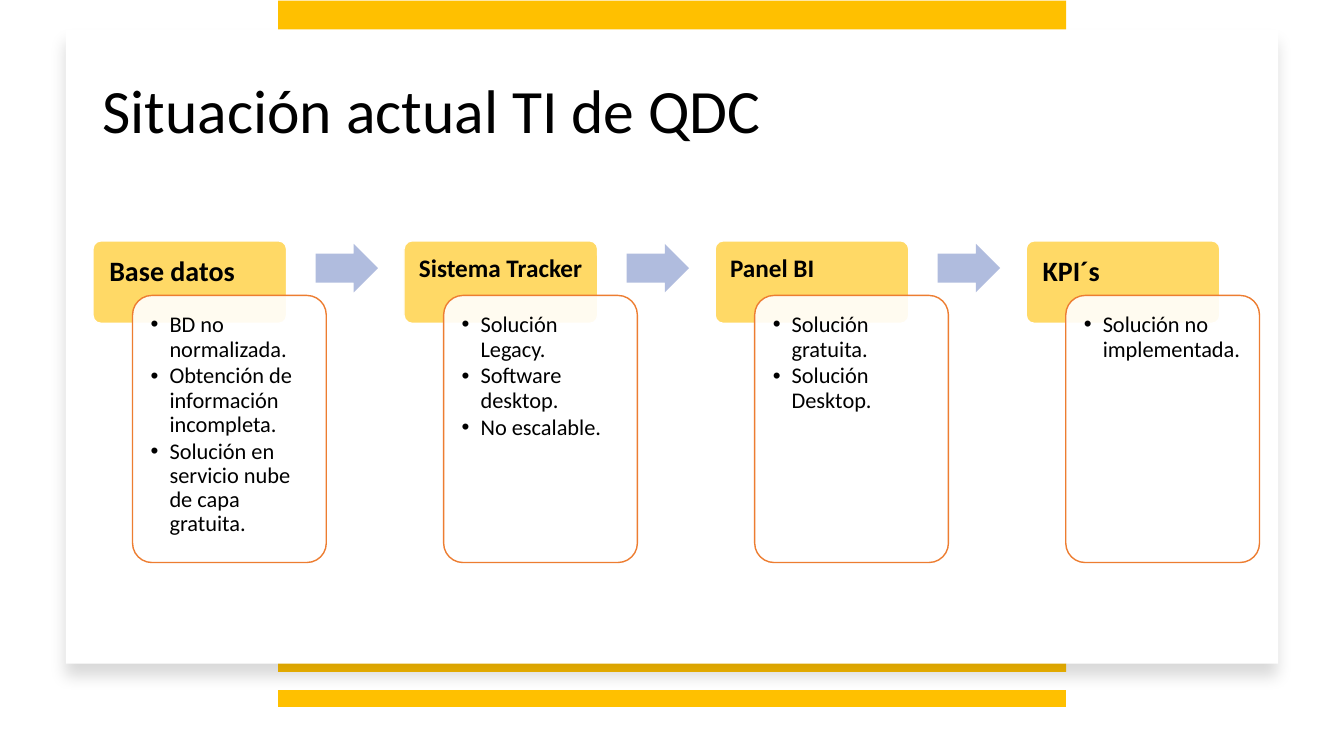
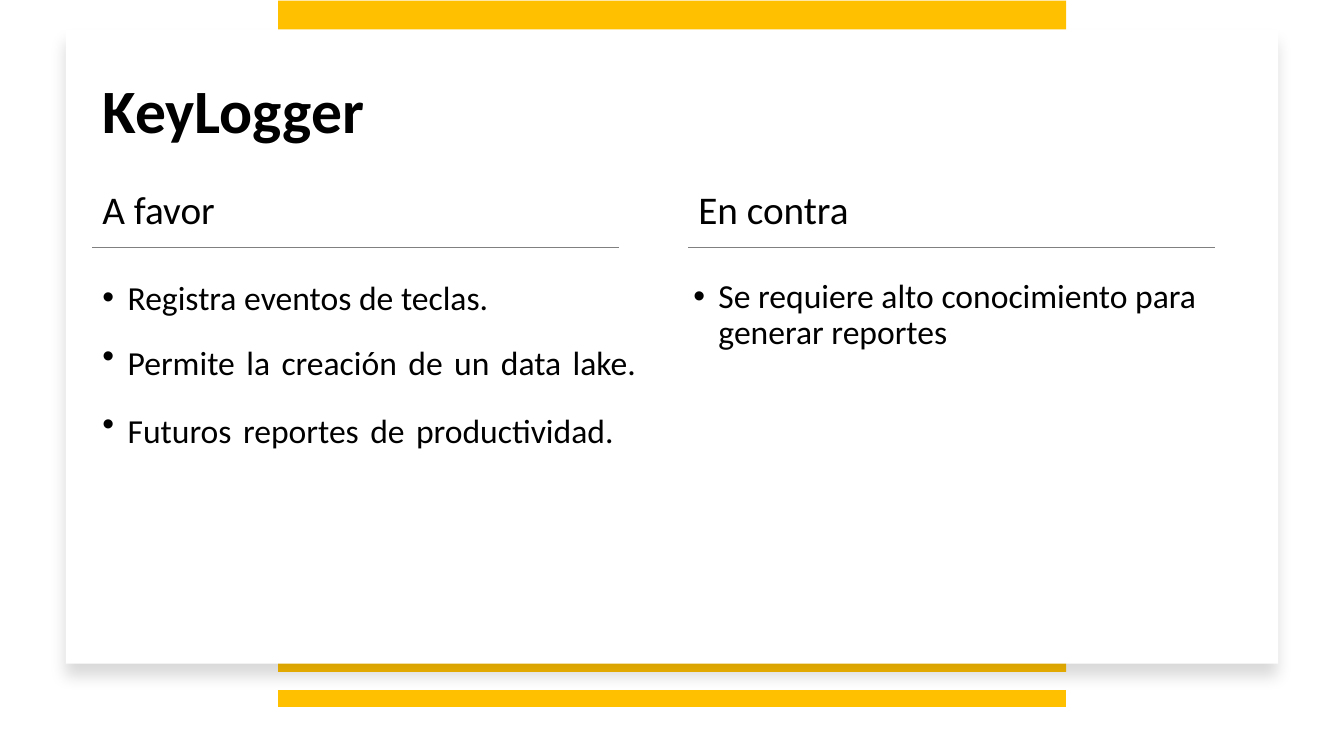
"""Build two slides: the current IT situation and the pros and cons of a key logger."""
from lxml import etree
from pptx import Presentation
from pptx.dml.color import RGBColor
from pptx.enum import shapes, text
from pptx.oxml import ns
from pptx.util import Pt

FONT = "Calibri"
COLORS = {
    "band": "FFC000", "card": "FFFFFF", "ink": "000000", "label": "FFD966",
    "panel_edge": "ED7D31", "arrow": "B0BCDE", "rule": "808080",
}
TITLE_ONLY, COMPARISON = 5, 4
STEP_PITCH = 222.2
STEPS = [
    ("Base datos", 20, ["BD no normalizada.", "Obtención de información incompleta.",
                        "Solución en servicio nube de capa gratuita."]),
    ("Sistema Tracker", 18, ["Solución Legacy.", "Software desktop.", "No escalable."]),
    ("Panel BI", 18, ["Solución gratuita.", "Solución Desktop."]),
    ("KPI´s", 20, ["Solución no implementada."]),
]


def rgb(name):
    """Return the named colour."""
    return RGBColor.from_string(COLORS[name])


def sub(parent, tag, **attributes):
    """Append a DrawingML element and return it."""
    return etree.SubElement(parent, ns.qn(tag), attributes)


def place(shape, left, top, width, height):
    """Move and size a shape, in points."""
    shape.left, shape.top = Pt(left), Pt(top)
    shape.width, shape.height = Pt(width), Pt(height)


def add_block(slide, kind, box, fill, edge=None, corner=None):
    """Add a filled preset shape without shadow."""
    block = slide.shapes.add_shape(kind, *map(Pt, box))
    block.fill.solid()
    block.fill.fore_color.rgb = rgb(fill)
    if edge:
        block.line.color.rgb = rgb(edge)
        block.line.width = Pt(1)
    else:
        block.line.fill.background()
    if corner:
        block.adjustments[0] = corner
    block.shadow.inherit = False
    return block


def add_rule(slide, left, right, y, color, weight):
    """Add a horizontal line without shadow."""
    rule = slide.shapes.add_connector(
        shapes.MSO_CONNECTOR.STRAIGHT, Pt(left), Pt(y), Pt(right), Pt(y))
    rule.line.color.rgb = rgb(color)
    rule.line.width = Pt(weight)
    sub(rule.element.spPr, "a:effectLst")


def style(paragraph, size, bold=False, before=0, after=0):
    """Format a left-aligned paragraph."""
    paragraph.alignment = text.PP_ALIGN.LEFT
    paragraph.line_spacing = 0.9
    paragraph.space_before, paragraph.space_after = Pt(before), Pt(after)
    font = paragraph.font
    font.name, font.size, font.bold = FONT, Pt(size), bold
    font.color.rgb = rgb("ink")


def add_bullet(paragraph, indent):
    """Give a paragraph a round bullet with a hanging indent in points."""
    properties = paragraph._p.get_or_add_pPr()
    properties.set("marL", str(Pt(indent)))
    properties.set("indent", str(-Pt(indent)))
    sub(properties, "a:buFont", typeface="Arial")
    sub(properties, "a:buChar", char="•")


def prepare_frame(shape, anchor=text.MSO_ANCHOR.TOP, inset=None):
    """Wrap the text of a shape, anchor it and return its frame."""
    frame = shape.text_frame
    frame.word_wrap = True
    frame.auto_size = text.MSO_AUTO_SIZE.NONE
    frame.vertical_anchor = anchor
    if inset is not None:
        frame.margin_left = frame.margin_right = Pt(inset)
        frame.margin_top = frame.margin_bottom = Pt(inset)
    return frame


def write_list(frame, items, size, indent, **spacing):
    """Fill a frame with bulleted paragraphs."""
    frame.text = "\n".join(items)
    for paragraph in frame.paragraphs:
        add_bullet(paragraph, indent)
        style(paragraph, size, **spacing)


def widen_gaps(paragraph, size):
    """Set the spaces between the words of a paragraph in a larger size."""
    words = paragraph.text.split()
    paragraph.runs[0].text = words[0]
    for word in words[1:]:
        gap = paragraph.add_run()
        gap.text = " "
        gap.font.size = Pt(size)
        paragraph.add_run().text = word


def start_slide(deck, layout, heading, bold=False):
    """Add a slide with bands, a shadowed card and a title."""
    slide = deck.slides.add_slide(deck.slide_layouts[layout])
    title = slide.shapes.title
    placeholders = [holder.element for holder in slide.placeholders]
    rectangle = shapes.MSO_SHAPE.RECTANGLE
    add_rule(slide, 198.6, 761.2, 499, "band", 12)
    add_block(slide, rectangle, (198.6, 0.5, 563, 479.5), "band")
    card = add_block(slide, rectangle, (47, 21, 866, 453), "card")
    effects = card.element.spPr.find(ns.qn("a:effectLst"))
    shadow = sub(effects, "a:outerShdw", blurRad=str(Pt(11)), dist=str(Pt(10)),
                 dir="5400000", algn="t", rotWithShape="0")
    sub(sub(shadow, "a:srgbClr", val=COLORS["ink"]), "a:alpha", val="15000")
    for element in placeholders:
        element.getparent().append(element)
    place(title, 66, 28.75, 828, 104.4)
    frame = prepare_frame(title, text.MSO_ANCHOR.MIDDLE)
    frame.text = heading
    style(frame.paragraphs[0], 44, bold)
    return slide


def add_step(slide, left, name, size, notes):
    """Add a labelled step with its panel of notes."""
    rounded = shapes.MSO_SHAPE.ROUNDED_RECTANGLE
    label = add_block(slide, rounded, (left, 172, 138.4, 59), "label", "card", 0.1)
    frame = prepare_frame(label, inset=size / 2)
    frame.text = name
    style(frame.paragraphs[0], size, bold=True)
    panel = add_block(slide, rounded, (left + 28.3, 211, 138.4, 190.8),
                      "card", "panel_edge", 0.1)
    sub(panel.element.spPr.find(".//" + ns.qn("a:srgbClr")), "a:alpha", val="90000")
    write_list(prepare_frame(panel, inset=8.9), notes, 16, 13.5, after=2)


def add_situation(deck):
    """Add the slide with the chain of current systems."""
    slide = start_slide(deck, TITLE_ONLY, "Situación actual TI de QDC")
    for index, (name, size, notes) in enumerate(STEPS):
        left = 66.4 + index * STEP_PITCH
        add_step(slide, left, name, size, notes)
        if index < len(STEPS) - 1:
            arrow = add_block(slide, shapes.MSO_SHAPE.RIGHT_ARROW,
                              (left + 159, 174.2, 44.6, 34.6), "arrow")
            arrow.adjustments[0] = 0.6


def add_column(slide, header_index, left, header, list_box, items):
    """Fill one column of the comparison: header, rule and list."""
    heading = slide.placeholders[header_index]
    place(heading, left, 132.5, 406, 64.8)
    frame = prepare_frame(heading)
    frame.text = header
    style(frame.paragraphs[0], 28, before=10)
    add_rule(slide, left, left + 376, 176.8, "rule", 0.5)
    points = slide.placeholders[header_index + 1]
    place(points, *list_box)
    frame = prepare_frame(points)
    write_list(frame, items, 24, 18, before=10)
    return frame


def add_comparison(deck):
    """Add the slide with the points for and against."""
    slide = start_slide(deck, COMPARISON, "KeyLogger", bold=True)
    favor = add_column(slide, 1, 66, "A favor", (66, 197.3, 406, 290),
                       ["Registra eventos de teclas.",
                        "Permite la creación de un data lake.",
                        "Futuros reportes de productividad."])
    for paragraph in favor.paragraphs[1:]:
        widen_gaps(paragraph, 36)
    add_column(slide, 3, 491.6, "En contra", (488, 196, 408, 248),
               ["Se requiere alto conocimiento para generar reportes"])


def main():
    """Build and save the presentation."""
    deck = Presentation()
    deck.slide_width, deck.slide_height = Pt(960), Pt(540)
    add_situation(deck)
    add_comparison(deck)
    deck.save("out.pptx")


main()
